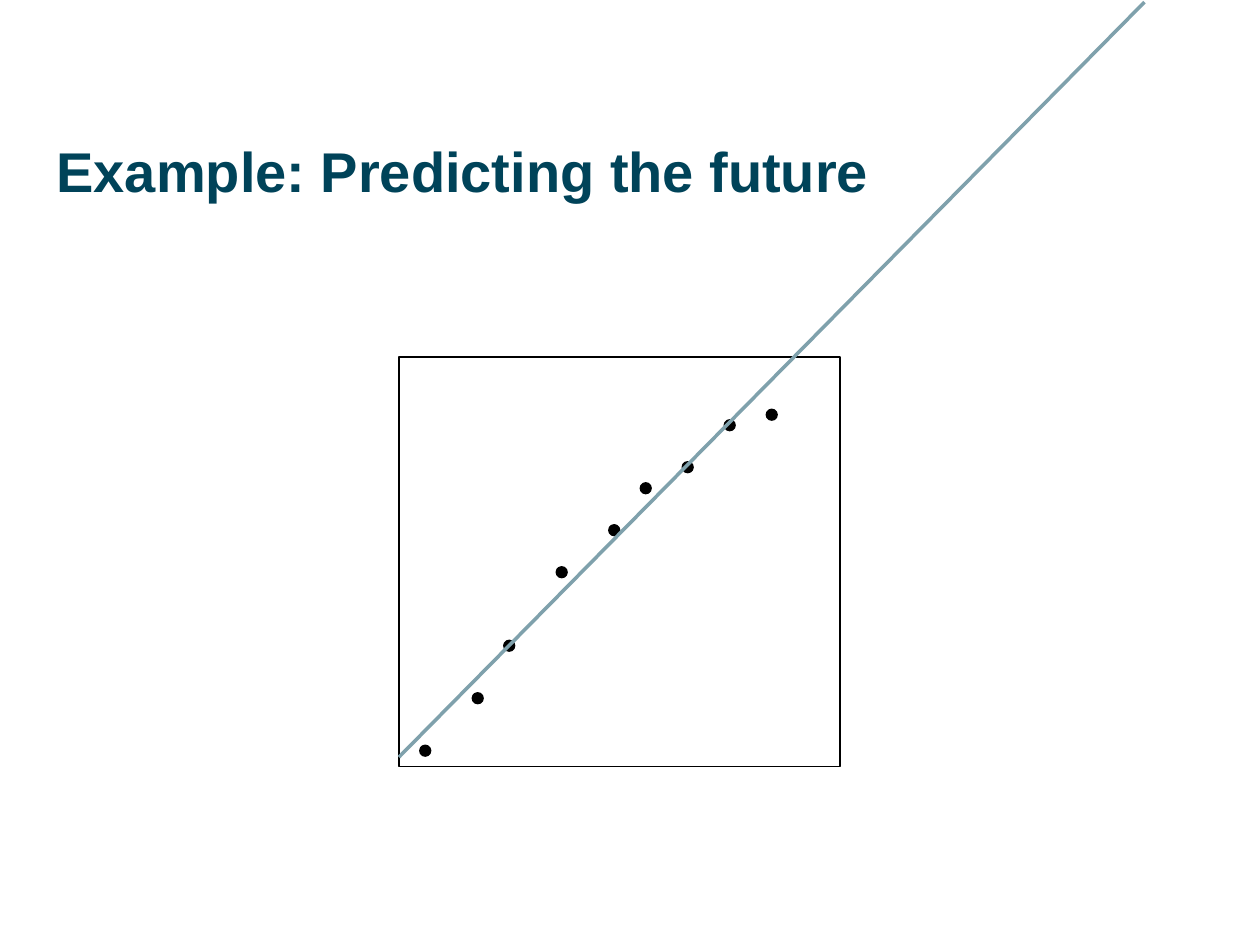
from lxml.etree import SubElement
from pptx import Presentation
from pptx.dml.color import RGBColor
from pptx.enum.shapes import MSO_CONNECTOR, MSO_SHAPE
from pptx.enum.text import MSO_ANCHOR, MSO_AUTO_SIZE, PP_ALIGN
from pptx.oxml.ns import qn
from pptx.util import Inches, Pt

COLS, ROWS = 120, 90
DOTS = [(61, 46), (45, 66), (58, 50), (73, 39), (65, 44),
        (53, 54), (40, 71), (48, 61), (69, 40)]


class Plot:
    colors = {"title": "004359", "ink": "000000", "trend": "7FA1AC"}
    font = {"name": "Arial", "size": Pt(32), "bold": True}
    frame = {"margin_left": Inches(0.09), "margin_top": Inches(0.09),
             "vertical_anchor": MSO_ANCHOR.TOP, "word_wrap": True,
             "auto_size": MSO_AUTO_SIZE.NONE}

    def __init__(self, deck):
        self.unit = deck.slide_width / COLS
        self.slide = deck.slides.add_slide(deck.slide_layouts[5])

    def grid(self, *cells):
        return [round(cell * self.unit) for cell in cells]

    def color(self, name):
        return RGBColor.from_string(self.colors[name])

    def apply(self, item, values):
        for key, value in values.items():
            setattr(item, key, value)

    def stroke(self, item, name, width):
        item.line.color.rgb = self.color(name)
        item.line.width = Pt(width)

    def title(self, text, *cells):
        item = self.slide.shapes.title
        sides = ("left", "top", "width", "height")
        self.apply(item, dict(zip(sides, self.grid(*cells))))
        item.text = text
        self.apply(item.text_frame, self.frame)
        line = item.text_frame.paragraphs[0]
        line.alignment = PP_ALIGN.LEFT
        font = line.runs[0].font
        self.apply(font, self.font)
        font.color.rgb = self.color("title")

    def shape(self, kind, *cells, fill=None):
        item = self.slide.shapes.add_shape(kind, *self.grid(*cells))
        item.shadow.inherit = False
        if fill:
            item.fill.solid()
            item.fill.fore_color.rgb = self.color(fill)
        else:
            item.fill.background()
        self.stroke(item, "ink", 1)

    def box(self, *cells):
        self.shape(MSO_SHAPE.RECTANGLE, *cells)

    def dot(self, col, row):
        self.shape(MSO_SHAPE.OVAL, col, row, 1, 1, fill="ink")

    def trend(self, *ends):
        item = self.slide.shapes.add_connector(
            MSO_CONNECTOR.STRAIGHT, *self.grid(*ends))
        self.stroke(item, "trend", 2)
        SubElement(item._element.spPr, qn("a:effectLst"))


def main():
    deck = Presentation()
    deck.slide_width, deck.slide_height = Inches(10), Inches(7.5)
    plot = Plot(deck)
    plot.title("Example: Predicting the future", 4.3, 11.9, 111.4, 17)
    plot.box(38, 34, 42, 39)
    for col, row in DOTS:
        plot.dot(col, row)
    plot.trend(38, 72.1, 109, 0.2)
    deck.save("out.pptx")


if __name__ == "__main__":
    main()
